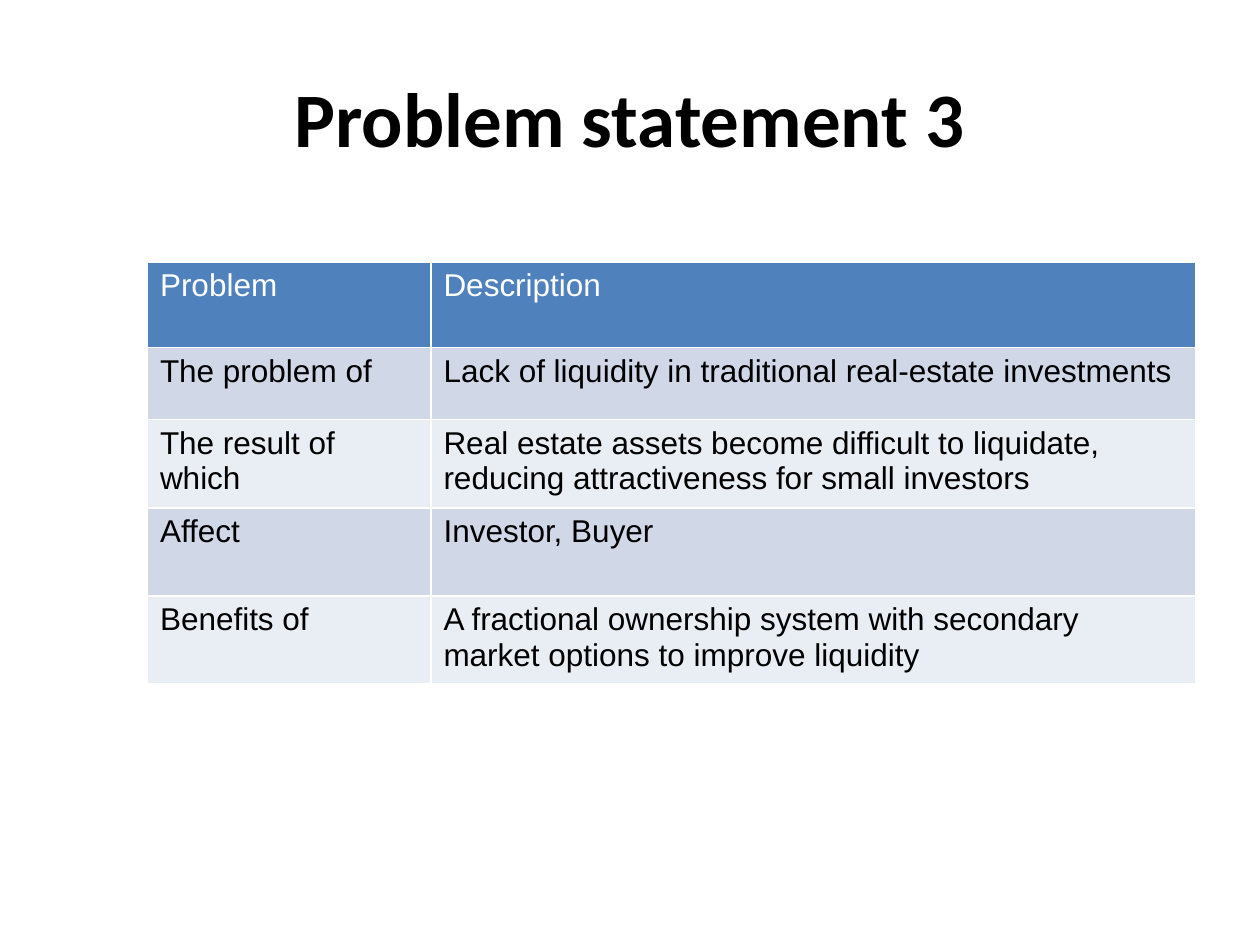
from dataclasses import dataclass

from pptx import Presentation
from pptx.dml.color import RGBColor as RGB
from pptx.enum.text import MSO_ANCHOR as ANCHOR, PP_ALIGN as ALIGN
from pptx.util import Inches, Pt


@dataclass(frozen=True)
class Theme:
    """Colours, fonts and type sizes of the slide."""
    ink: str = "000000"
    header_ink: str = "FFFFFF"
    header_fill: str = "4F81BD"
    bands: tuple = ("D0D8E8", "E9EDF4")
    title_font: str = "Calibri"
    body_font: str = "Arial"
    title_size: int = 44
    body_size: int = 18


THEME = Theme()
COL_WIDTHS = (2.25, 6.07)
ROW_HEIGHTS = (0.68, 0.57, 0.66, 0.7, 0.68)
ROWS = (
    ("Problem", "Description"),
    ("The problem of", "Lack of liquidity in traditional real-estate investments"),
    ("The result of which", "Real estate assets become difficult to liquidate, "
     "reducing attractiveness for small investors"),
    ("Affect", "Investor, Buyer"),
    ("Benefits of", "A fractional ownership system with secondary market options "
     "to improve liquidity"),
)


def write(tf, text, color, **formats):
    """Write one formatted run into a text frame and return its paragraph."""
    p = tf.paragraphs[0]
    r = p.add_run()
    r.text = text
    for name, value in formats.items():
        setattr(r.font, name, value)
    r.font.color.rgb = RGB.from_string(color)
    return p


def add_title(slide, box, text):
    """Place the centred slide title in the box."""
    tf = slide.shapes.add_textbox(*map(Inches, box)).text_frame
    tf.word_wrap = True
    tf.vertical_anchor = ANCHOR.MIDDLE
    p = write(tf, text, THEME.ink, name=THEME.title_font,
              size=Pt(THEME.title_size), bold=True)
    p.alignment = ALIGN.CENTER


def add_statement_table(slide, left, top, rows):
    """Place the problem statement table with a header and banded rows."""
    box = (left, top, sum(COL_WIDTHS), sum(ROW_HEIGHTS))
    table = slide.shapes.add_table(len(rows), len(COL_WIDTHS), *map(Inches, box)).table
    for col, width in zip(table.columns, COL_WIDTHS):
        col.width = Inches(width)
    for i, (row, height, texts) in enumerate(zip(table.rows, ROW_HEIGHTS, rows)):
        row.height = Inches(height)
        fill = THEME.bands[(i - 1) % 2] if i else THEME.header_fill
        ink = THEME.ink if i else THEME.header_ink
        for cell, text in zip(row.cells, texts):
            cell.fill.solid()
            cell.fill.fore_color.rgb = RGB.from_string(fill)
            write(cell.text_frame, text, ink, name=THEME.body_font,
                  size=Pt(THEME.body_size), bold=False)


def main():
    """Build and save the problem statement slide."""
    prs = Presentation()
    prs.slide_width, prs.slide_height = Inches(10), Inches(7.5)
    slide = prs.slides.add_slide(prs.slide_layouts[6])
    add_title(slide, (0.5, 0.3, 9, 1.25), "Problem statement 3")
    add_statement_table(slide, 1.17, 2.08, ROWS)
    prs.save("out.pptx")


if __name__ == "__main__":
    main()
